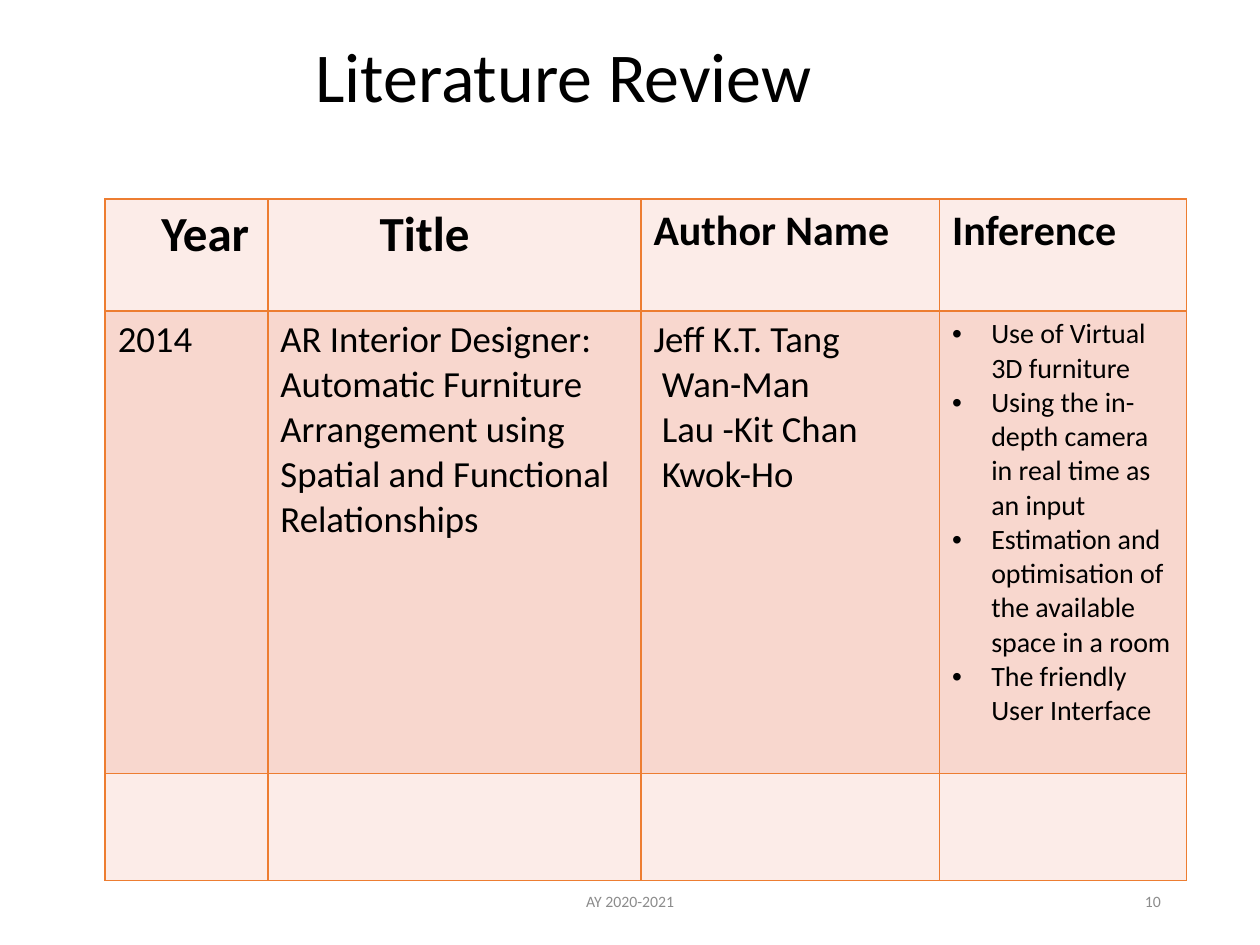
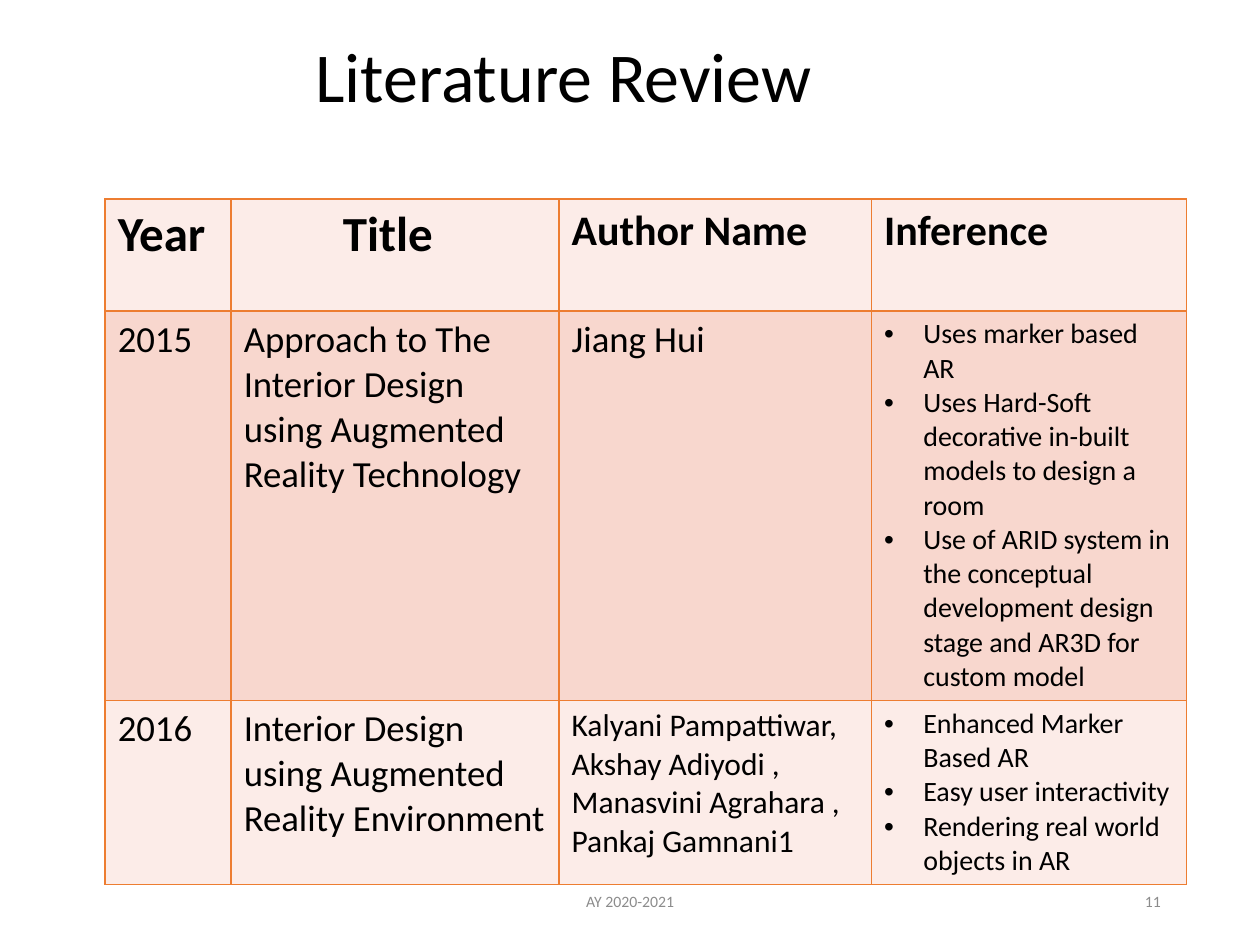
import pptx
import pptx.dml.color
import pptx.enum.text
import pptx.oxml.ns
import pptx.util
from lxml import etree

Cm, Pt = pptx.util.Cm, pptx.util.Pt
ALIGN = pptx.enum.text.PP_ALIGN
MIDDLE = pptx.enum.text.MSO_ANCHOR.MIDDLE

FONT = "Calibri"
HUES = {"ink": "000000", "foot": "8C8C8C", "line": "ED7D31",
        "pale": "FCECE8", "deep": "F8D7CE"}
TITLE = "Literature Review"
TERM = "AY 2020-2021"
HEADS = ("Year", "Title", "Author Name", "Inference")
HEAD_SIZES = (28, 28, 24, 24)
BODY_SIZES = (21, 21, 21, 16)
BULLET_COL = 3


def hue(name):
    return pptx.dml.color.RGBColor.from_string(HUES[name])


def add_tag(parent, tag, **attrs):
    return etree.SubElement(parent, pptx.oxml.ns.qn(tag), attrs)


class Deck:
    """Holds the shared style and the current slide."""

    def __init__(self):
        self.prs = pptx.Presentation()
        self.prs.slide_width, self.prs.slide_height = Cm(25.4), Cm(19.05)
        self.slide = None

    def start(self, page):
        self.slide = self.prs.slides.add_slide(self.prs.slide_layouts[5])
        self.title(TITLE)
        self.footer(TERM, 8.41, 8.59, ALIGN.CENTER)
        self.footer(str(page), 17.93, 5.72, ALIGN.RIGHT)

    def style(self, par, size, color="ink", bold=False):
        for run in par.runs:
            font = run.font
            font.name, font.size, font.bold = FONT, Pt(size), bold
            font.color.rgb = hue(color)

    def indent(self, par, left, first=0.0):
        props = par._p.get_or_add_pPr()
        props.set("marL", str(Cm(left)))
        props.set("indent", str(Cm(first)))
        return props

    def title(self, text):
        shape = self.slide.shapes.title
        shape.left, shape.top = Cm(1.7), Cm(0.43)
        shape.width, shape.height = Cm(21.89), Cm(2.36)
        frame = shape.text_frame
        frame.text = text
        frame.auto_size = pptx.enum.text.MSO_AUTO_SIZE.NONE
        frame.vertical_anchor = MIDDLE
        par = frame.paragraphs[0]
        par.alignment, par.line_spacing = ALIGN.LEFT, 0.9
        self.indent(par, 4.4)
        self.style(par, 40)

    def footer(self, text, left, width, align):
        box = self.slide.shapes.add_textbox(
            Cm(left), Cm(17.65), Cm(width), Cm(1.02))
        frame = box.text_frame
        frame.word_wrap = True
        frame.vertical_anchor = MIDDLE
        frame.text = text
        frame.paragraphs[0].alignment = align
        self.style(frame.paragraphs[0], 9, "foot")

    def border(self, cell):
        props = cell._tc.get_or_add_tcPr()
        for pos, side in enumerate(("a:lnL", "a:lnR", "a:lnT", "a:lnB")):
            line = etree.Element(pptx.oxml.ns.qn(side), w=str(Pt(1)))
            fill = add_tag(line, "a:solidFill")
            add_tag(fill, "a:srgbClr", val=HUES["line"])
            props.insert(pos, line)

    def bullet(self, par):
        props = self.indent(par, 0.79, -0.79)
        add_tag(props, "a:buFont", typeface="Arial")
        add_tag(props, "a:buChar", char="•")

    def cell(self, cell, text, size, fill, bold=False, bullets=False):
        cell.fill.solid()
        cell.fill.fore_color.rgb = hue(fill)
        self.border(cell)
        cell.text_frame.text = text
        for par in cell.text_frame.paragraphs:
            self.style(par, size, bold=bold)
            if bullets and text:
                self.bullet(par)

    def table(self, widths, heights, rows, sizes):
        frame = self.slide.shapes.add_table(
            len(heights), len(widths), Cm(2.12), Cm(4.01),
            Cm(sum(widths)), Cm(sum(heights)))
        grid = frame.table
        grid.first_row = grid.horz_banding = False
        for col, width in zip(grid.columns, widths):
            col.width = Cm(width)
        for row, height in zip(grid.rows, heights):
            row.height = Cm(height)
        for y, texts in enumerate([HEADS, *rows]):
            fill = "deep" if y % 2 else "pale"
            for x, text in enumerate(texts):
                size = sizes.get((y, x), BODY_SIZES[x]) if y else HEAD_SIZES[x]
                self.cell(grid.cell(y, x), text, size, fill, bold=y == 0,
                          bullets=y > 0 and x == BULLET_COL)
        self.indent(grid.cell(0, 1).text_frame.paragraphs[0], 2.0)
        return grid


# Reviewed papers: year, title, authors, inferences
ROOM = ("2014",
        "AR Interior Designer: Automatic Furniture Arrangement using "
        "Spatial and Functional Relationships",
        "Jeff K.T. Tang\nWan-Man\nLau -Kit Chan Kwok-Ho",
        "Use of Virtual 3D furniture\n"
        "Using the in-depth camera in real time as an input\n"
        "Estimation and optimisation of the available space in a room\n"
        "The friendly User Interface")
MARKER = ("2015",
          "Approach to The Interior Design using Augmented Reality Technology",
          "Jiang Hui",
          "Uses marker based AR\n"
          "Uses Hard-Soft decorative in-built models to design a room\n"
          "Use of ARID system in the conceptual development design stage "
          "and AR3D for custom model")
REAL = ("2016",
        "Interior Design using Augmented Reality Environment",
        "Kalyani Pampattiwar, Akshay Adiyodi , Manasvini Agrahara , "
        "Pankaj Gamnani1",
        "Enhanced Marker Based AR\n"
        "Easy user interactivity\n"
        "Rendering real world objects in AR")
BLANK = ("",) * len(HEADS)


def main():
    deck = Deck()

    # Paper of 2014
    deck.start(10)
    grid = deck.table((3.28, 7.52, 6.02, 4.98), (2.26, 9.32, 2.16),
                      (ROOM, BLANK), {})
    deck.indent(grid.cell(0, 0).text_frame.paragraphs[0], 0.88)
    for par in grid.cell(1, 2).text_frame.paragraphs[1:]:
        deck.indent(par, 0.17)

    # Papers of 2015 and 2016
    deck.start(11)
    deck.table((2.54, 6.61, 6.3, 6.35), (2.26, 7.85, 3.71),
               (MARKER, REAL), {(2, 2): 18})

    deck.prs.save("out.pptx")


if __name__ == "__main__":
    main()
